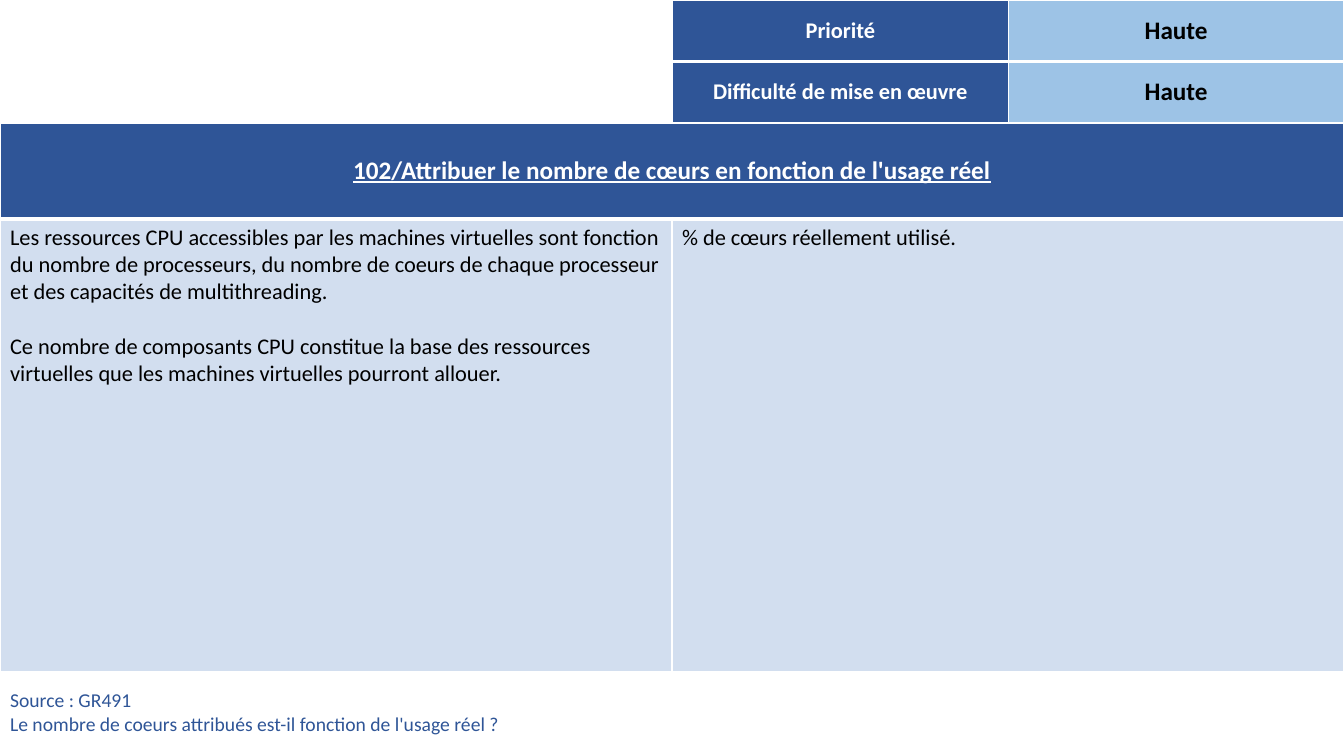
from lxml import etree
from pptx import Presentation
from pptx.dml.color import RGBColor
from pptx.enum.text import MSO_ANCHOR, PP_ALIGN
from pptx.oxml.ns import qn
from pptx.util import Inches, Pt

LEFT, CENTER = PP_ALIGN.LEFT, PP_ALIGN.CENTER
TOP, MIDDLE = MSO_ANCHOR.TOP, MSO_ANCHOR.MIDDLE
FONT = "Calibri"
NAVY, SKY, PALE = "2F5597", "9DC3E6", "D2DEEF"
WHITE, BLACK = "FFFFFF", "000000"
THIN, THICK = 1, 3


def color(code):
    """Turn a hex string into a colour."""
    return RGBColor.from_string(code)


def edge(cell, side, width):
    """Draw one white border of a cell."""
    line = etree.SubElement(cell._tc.get_or_add_tcPr(), qn(f"a:ln{side}"), w=str(Pt(width)))
    fill = etree.SubElement(line, qn("a:solidFill"))
    etree.SubElement(fill, qn("a:srgbClr"), val=WHITE)


def paint(cell, fill, above=THIN, below=THIN):
    """Give a cell its borders and fill."""
    for side, width in zip("LRTB", (THIN, THIN, above, below)):
        edge(cell, side, width)
    cell.fill.solid()
    cell.fill.fore_color.rgb = color(fill)


def write(cell, lines, size, ink, bold=False, under=False, align=LEFT, anchor=MIDDLE, gap=0):
    """Fill a cell with formatted paragraphs."""
    cell.vertical_anchor = anchor
    frame = cell.text_frame
    frame.text = "\n".join(lines)
    for par in frame.paragraphs:
        par.alignment = align
        for run in par.runs:
            font = run.font
            font.name, font.size = FONT, Pt(size)
            font.bold, font.underline = bold, under
            font.color.rgb = color(ink)
    for par in frame.paragraphs[:-1]:
        par.space_after = Pt(gap)


def grid(slide, box, cols, rows):
    """Add a plain table with the given column and row sizes."""
    shape = slide.shapes.add_table(len(rows), len(cols), *map(Inches, box))
    table = shape.table
    table.first_row = table.horz_banding = False
    for col, width in zip(table.columns, cols):
        col.width = Inches(width)
    for row, height in zip(table.rows, rows):
        row.height = Inches(height)
    return table


def rating(slide, box):
    """Place the priority and difficulty ratings."""
    width, height = box[2:]
    table = grid(slide, box, [width / 2] * 2, [height / 2] * 2)
    levels = [("Priorité", "Haute"), ("Difficulté de mise en œuvre", "Haute")]
    rules = [(THIN, THICK), (THICK, THIN)]
    for row, (pair, rule) in enumerate(zip(levels, rules)):
        looks = [(NAVY, 16, WHITE), (SKY, 18, BLACK)]
        for col, (text, (fill, size, ink)) in enumerate(zip(pair, looks)):
            cell = table.cell(row, col)
            paint(cell, fill, *rule)
            write(cell, [text], size, ink, bold=True, align=CENTER)


def advice(slide, box):
    """Place the heading band over the reason and the metric."""
    width, height = box[2:]
    head = 0.95
    table = grid(slide, box, [width / 2] * 2, [head, height - head])
    for cell in table.rows[0].cells:
        paint(cell, NAVY, below=THICK)
    title = table.cell(0, 0)
    title.merge(table.cell(0, 1))
    write(title, ["102/Attribuer le nombre de cœurs en fonction de l'usage réel"],
          18, WHITE, bold=True, under=True, align=CENTER)
    reason = [
        "Les ressources CPU accessibles par les machines virtuelles sont fonction "
        "du nombre de processeurs, du nombre de coeurs de chaque processeur "
        "et des capacités de multithreading.",
        "Ce nombre de composants CPU constitue la base des ressources "
        "virtuelles que les machines virtuelles pourront allouer.",
    ]
    metric = ["% de cœurs réellement utilisé."]
    for cell, lines in zip(table.rows[1].cells, (reason, metric)):
        paint(cell, PALE, above=THICK)
        write(cell, lines, 16, BLACK, anchor=TOP, gap=19.5)


def source(slide, box):
    """Place the source and its check question."""
    cell = grid(slide, box, [box[2]], [box[3]]).cell(0, 0)
    paint(cell, WHITE, below=THICK)
    write(cell, ["Source : GR491",
                 "Le nombre de coeurs attribués est-il fonction de l'usage réel ?"], 14, NAVY)


def main():
    """Build and save the slide."""
    deck = Presentation()
    deck.slide_width, deck.slide_height = Inches(13.33), Inches(7.5)
    slide = deck.slides.add_slide(deck.slide_layouts[6])
    advice(slide, (0, 1.22, 13.33, 5.44))
    rating(slide, (6.67, 0, 6.66, 1.22))
    source(slide, (0, 6.71, 11.23, 0.73))
    deck.save("out.pptx")


if __name__ == "__main__":
    main()
